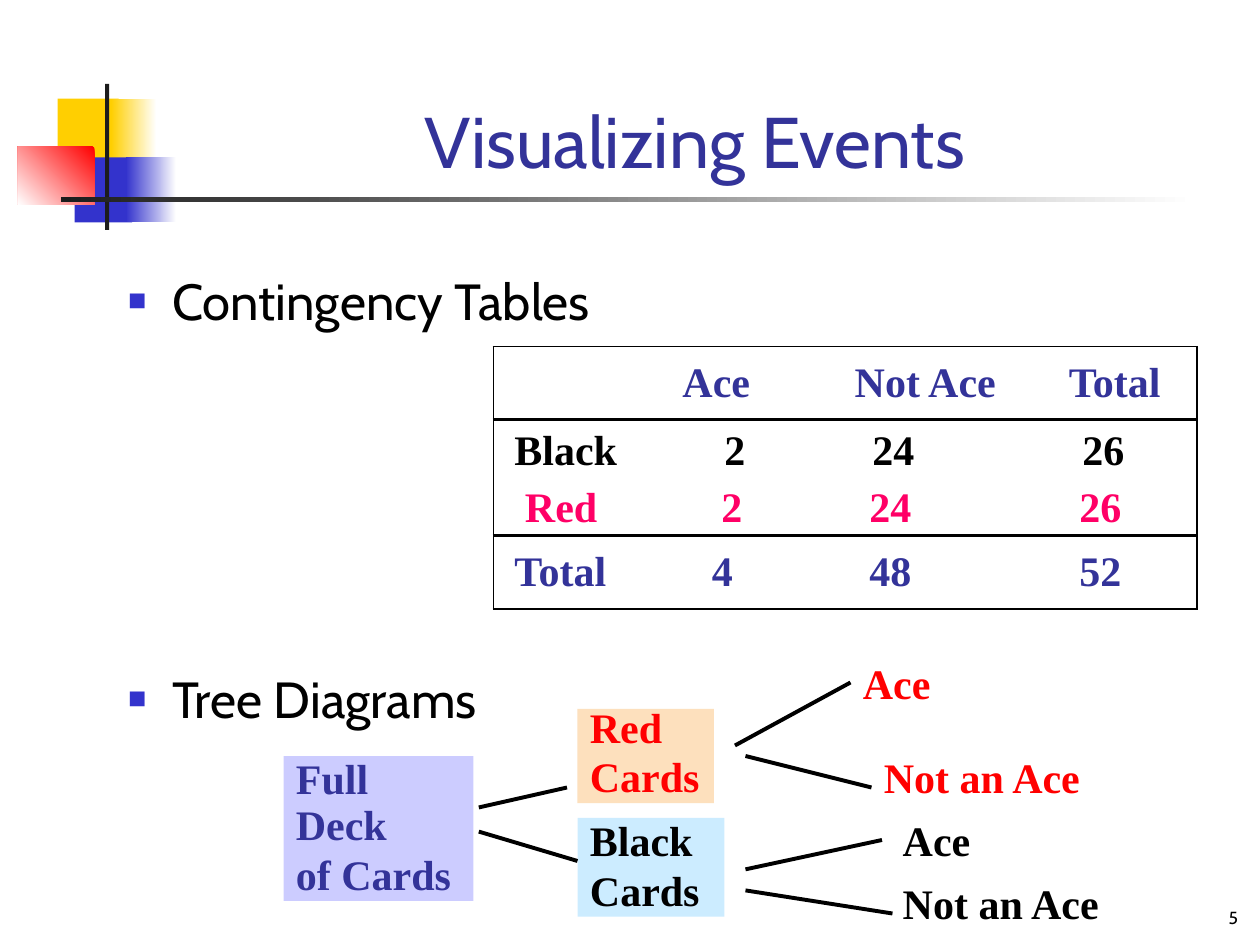
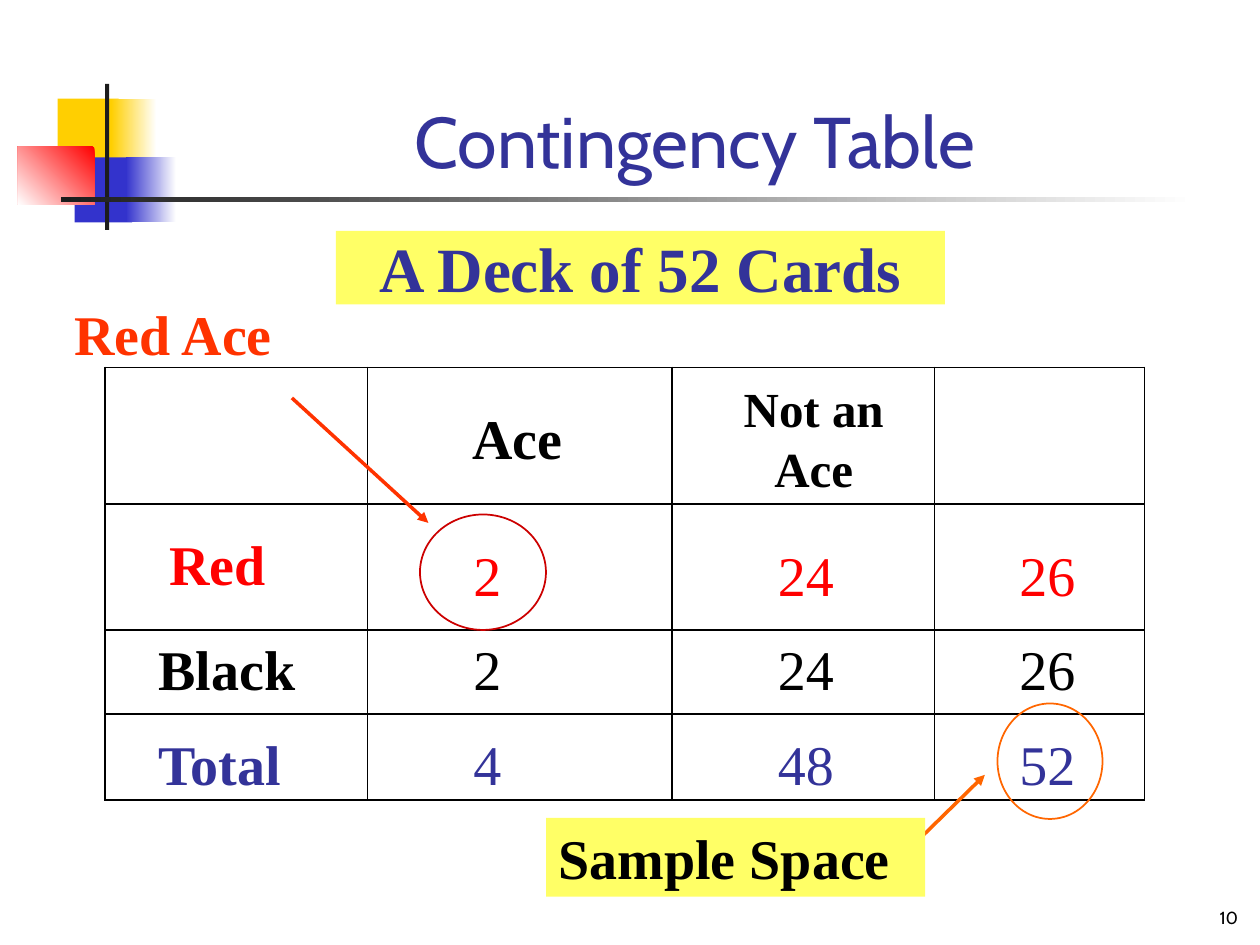
"""Two slides on events: contingency tables and a tree diagram."""
from dataclasses import dataclass
from typing import NamedTuple, Optional

from lxml import etree
from pptx import Presentation
from pptx import util as u
from pptx.dml.color import RGBColor
from pptx.enum import shapes, text
from pptx.oxml import ns

UNIT = 1 / 12  # the slide is a grid of 120 columns by 90 rows


@dataclass(frozen=True)
class Theme:
    """Colours, fonts and type sizes of the deck."""
    ink: str = "000000"
    white: str = "FFFFFF"
    navy: str = "333399"
    blue: str = "3333CC"
    gold: str = "FFCF01"
    red: str = "FF0000"
    rule: str = "1C1C1C"
    pink: str = "FF0066"
    lilac: str = "CCCCFF"
    peach: str = "FDE0BD"
    sky: str = "CCECFF"
    yellow: str = "FFFF66"
    crimson: str = "CC0000"
    orange: str = "FF6600"
    vermilion: str = "FF3300"
    sans: str = "Cabin"
    serif: str = "Times New Roman"
    title: float = 41
    body: float = 29
    small: float = 24
    large: float = 32
    banner: float = 36
    number: float = 10


T = Theme()


class Box(NamedTuple):
    """A place on the grid: column, row, columns wide, rows high."""
    x: float
    y: float
    w: float
    h: float


class Cell(NamedTuple):
    """Cell text, the grid column it starts at, and its own formatting."""
    text: str
    x: float
    drop: float = 0
    bold: bool = True
    size: Optional[float] = None
    centred: bool = False


class Row(NamedTuple):
    """A table row: height, text colour and cells."""
    height: float
    color: str
    cells: tuple


class Node(NamedTuple):
    """A filled box of the tree; spacing holds one line spacing per line."""
    box: Box
    text: str
    fill: str
    color: str
    spacing: tuple


class Label(NamedTuple):
    """A leaf of the tree."""
    box: Box
    text: str
    color: str


def g(n: float) -> int:
    """Turn grid units into a length."""
    return u.Inches(n * UNIT)


def rgb(color: str) -> RGBColor:
    """Turn a hex string into a colour."""
    return RGBColor.from_string(color)


def place(sp, box: Box) -> None:
    """Move a shape to its place on the grid."""
    sp.left, sp.top, sp.width, sp.height = map(g, box)


def style(p, size: float, color: str, font: str = T.serif, bold: bool = False,
          align=text.PP_ALIGN.LEFT) -> None:
    """Format a paragraph and its runs."""
    p.alignment = align
    for r in p.runs:
        r.font.size, r.font.bold, r.font.name = u.Pt(size), bold, font
        r.font.color.rgb = rgb(color)


def add_shape(s, kind, box: Box, fill: Optional[str] = None,
              line: Optional[str] = None, fade: Optional[tuple] = None):
    """Add a flat shape; fade is (first colour, last colour, angle)."""
    sp = s.shapes.add_shape(kind, *map(g, box))
    sp.shadow.inherit = False
    if fade:
        sp.fill.gradient()
        sp.fill.gradient_angle = fade[2]
        for stop, color, position in zip(sp.fill.gradient_stops, fade, (0, 1)):
            stop.color.rgb, stop.position = rgb(color), position
    elif fill:
        sp.fill.solid()
        sp.fill.fore_color.rgb = rgb(fill)
    else:
        sp.fill.background()
    if line:
        sp.line.color.rgb, sp.line.width = rgb(line), u.Pt(1)
    else:
        sp.line.fill.background()
    return sp


def add_text(s, box: Box, content: str, size: float, color: str,
             fill: Optional[str] = None, font: str = T.serif, bold: bool = True,
             align=text.PP_ALIGN.LEFT, anchor=text.MSO_ANCHOR.MIDDLE):
    """Add a text box, or a filled box with text, and return its frame."""
    if fill:
        sp = add_shape(s, shapes.MSO_SHAPE.RECTANGLE, box, fill)
    else:
        sp = s.shapes.add_textbox(*map(g, box))
    tf = sp.text_frame
    tf.word_wrap, tf.vertical_anchor = True, anchor
    tf.text = content
    for p in tf.paragraphs:
        style(p, size, color, font, bold, align)
    return tf


def add_line(s, x1: float, y1: float, x2: float, y2: float, color: str = T.ink,
             width: float = 2.25, arrow: bool = False) -> None:
    """Add a straight line, with an arrowhead at its end if asked."""
    line = s.shapes.add_connector(shapes.MSO_CONNECTOR.STRAIGHT,
                                  g(x1), g(y1), g(x2), g(y2))
    line.line.color.rgb, line.line.width = rgb(color), u.Pt(width)
    if arrow:
        etree.SubElement(line.line._get_or_add_ln(), ns.qn("a:tailEnd"), type="triangle")
    etree.SubElement(line.element.spPr, ns.qn("a:effectLst"))


def set_borders(cell, left: float, right: float, top: float, bottom: float) -> None:
    """Rule the four sides of a cell; a width of 0 leaves a side open."""
    tc_pr = cell._tc.get_or_add_tcPr()
    for side, width in zip("LRTB", (left, right, top, bottom)):
        ln = etree.SubElement(tc_pr, ns.qn(f"a:ln{side}"), w=str(u.Pt(width)))
        if width:
            fill = etree.SubElement(ln, ns.qn("a:solidFill"))
            etree.SubElement(fill, ns.qn("a:srgbClr"), val=T.ink)
        else:
            etree.SubElement(ln, ns.qn("a:noFill"))


def add_grid(s, x: float, y: float, widths: tuple, rows: tuple, size: float,
             v_rules: tuple, h_rules: tuple) -> None:
    """Add a table whose rules are given from left to right and top to bottom."""
    height = sum(row.height for row in rows)
    table = s.shapes.add_table(len(rows), len(widths), g(x), g(y),
                               g(sum(widths)), g(height)).table
    table.first_row = table.horz_banding = False
    for column, width in zip(table.columns, widths):
        column.width = g(width)
    for i, row in enumerate(rows):
        table.rows[i].height = g(row.height)
        for j, item in enumerate(row.cells):
            cell = table.cell(i, j)
            set_borders(cell, *v_rules[j:j + 2], *h_rules[i:i + 2])
            cell.fill.background()
            cell.vertical_anchor = text.MSO_ANCHOR.MIDDLE
            cell.margin_left = g(item.x - x - sum(widths[:j])) if item.text else 0
            cell.margin_right = cell.margin_bottom = 0
            cell.margin_top = g(item.drop)
            cell.text_frame.text = item.text
            align = text.PP_ALIGN.CENTER if item.centred else text.PP_ALIGN.LEFT
            for p in cell.text_frame.paragraphs:
                style(p, item.size or size, row.color, bold=item.bold, align=align)
            for p in cell.text_frame.paragraphs[1:]:
                p.space_before = u.Pt(3)


def draw_master(prs, s) -> None:
    """Draw the coloured squares and rules once and hand them to the master."""
    bands = (
        (Box(5.5, 9.4, 5.8, 6.2), T.gold, None),
        (Box(10.6, 9.4, 4.3, 6.2), None, (T.white, T.gold, 180)),
        (Box(7.1, 15, 5.5, 6.2), T.blue, None),
        (Box(12, 15, 4.8, 6.2), None, (T.white, T.blue, 180)),
        (Box(1.7, 14, 7.3, 5.5), None, (T.red, T.white, 225)),
        (Box(10, 8, 0.4, 13.9), T.rule, None),
        (Box(5.8, 18.8, 108, 0.4), None, (T.white, T.rule, 180)),
    )
    tree = prs.slide_master.shapes.element
    for i, (box, fill, fade) in enumerate(bands):
        sp = add_shape(s, shapes.MSO_SHAPE.RECTANGLE, box, fill, fade=fade)
        tree.insert(2 + i, sp.element)


def add_slide(prs, layout: int, title: str, number: int):
    """Add a slide with its title and number."""
    s = prs.slides.add_slide(prs.slide_layouts[layout])
    place(s.shapes.title, Box(15.1, 3, 102.2, 15))
    tf = s.shapes.title.text_frame
    tf.text = title
    tf.auto_size = text.MSO_AUTO_SIZE.NONE
    tf.vertical_anchor = text.MSO_ANCHOR.BOTTOM
    style(tf.paragraphs[0], T.title, T.navy, T.sans, align=text.PP_ALIGN.CENTER)
    add_text(s, Box(94.1, 82.9, 25, 6.1), str(number), T.number, T.ink, font=T.sans,
             bold=False, align=text.PP_ALIGN.RIGHT, anchor=text.MSO_ANCHOR.BOTTOM)
    return s


def fill_list(sp, items: tuple, gaps: tuple) -> None:
    """Fill the body placeholder with square bullets; gaps are points above."""
    place(sp, Box(11, 24.5, 106, 59.5))
    tf = sp.text_frame
    tf.text = "\n".join(items)
    tf.auto_size = text.MSO_AUTO_SIZE.NONE
    for p, gap in zip(tf.paragraphs, gaps):
        style(p, T.body, T.ink, T.sans)
        p.line_spacing, p.space_before = 1.1, u.Pt(gap)
        p_pr = p._p.get_or_add_pPr()
        p_pr.set("marL", str(u.Inches(0.35)))
        p_pr.set("indent", str(-u.Inches(0.35)))
        color = etree.SubElement(p_pr, ns.qn("a:buClr"))
        etree.SubElement(color, ns.qn("a:srgbClr"), val=T.blue)
        etree.SubElement(p_pr, ns.qn("a:buSzPct"), val="60000")
        etree.SubElement(p_pr, ns.qn("a:buChar"), char="■")


def add_tree(s) -> None:
    """Draw the tree of the full deck, its colours and its aces."""
    nodes = (
        Node(Box(27, 72, 18.1, 13.8), "Full\nDeck\nof Cards", T.lilac, T.navy, (0.8, 0.3, 0.5)),
        Node(Box(55, 67.5, 13, 9), "Red\nCards", T.peach, T.red, (0.7, 0.4)),
        Node(Box(55, 77.9, 14, 9.4), "Black\nCards", T.sky, T.ink, (0.8, 0.4)),
    )
    leaves = (
        Label(Box(81, 62, 13, 6), "Ace", T.red),
        Label(Box(83, 71, 22, 6), "Not an Ace", T.red),
        Label(Box(84.8, 77, 29, 6), "Ace", T.ink),
        Label(Box(84.8, 83, 29, 6), "Not an Ace", T.ink),
    )
    branches = ((45.6, 76.9, 54, 75), (45.6, 79.2, 55, 82), (70, 71, 81, 65),
                (71, 72, 83, 75), (71, 82.8, 84, 80), (71, 84.8, 85, 87))
    for node in nodes:
        tf = add_text(s, node.box, node.text, T.small, node.color, node.fill,
                      anchor=text.MSO_ANCHOR.TOP)
        tf.margin_right = 0
        for p, spacing in zip(tf.paragraphs, node.spacing):
            p.line_spacing, p.space_before = spacing, u.Pt(15)
    for branch in branches:
        add_line(s, *branch)
    for leaf in leaves:
        add_text(s, leaf.box, leaf.text, T.small, leaf.color)


def counts(label: Cell, values: tuple, columns: tuple, drop: float) -> tuple:
    """Make a row of cells: a bold label and plain counts."""
    return (label, *(Cell(v, x, drop, bold=False) for v, x in zip(values, columns)))


def events_slide(prs):
    """Build the overview of tables and trees."""
    s = add_slide(prs, 1, "Visualizing Events", 5)
    fill_list(s.placeholders[1], ("Contingency Tables", "Tree Diagrams"), (7.3, 189))
    rows = (
        Row(7, T.navy, (Cell("", 47), Cell("Ace", 65), Cell("Not Ace", 81.4), Cell("Total", 101.8))),
        Row(5.9, T.ink, (Cell("Black", 49), Cell("2", 69), Cell("24", 83.1), Cell("26", 103.1))),
        Row(5.1, T.pink, (Cell("Red", 50), Cell("2", 68.7), Cell("24", 82.8), Cell("26", 102.8))),
        Row(7, T.navy, (Cell("Total", 49), Cell("4", 67.8), Cell("48", 82.8), Cell("52", 102.8))),
    )
    add_grid(s, 47, 33, (15, 17, 19, 16), rows, T.small, (1, 0, 0, 0, 1), (1, 2, 0, 2, 1))
    add_tree(s)
    return s


def table_slide(prs) -> None:
    """Build the contingency table with its two call-outs."""
    s = add_slide(prs, 5, "Contingency Table", 10)
    xs = (45.1, 74.1, 97.1)
    rows = (
        Row(13, T.ink, (Cell("", 10), Cell("Ace", 45, 1), Cell(
            "Not an\nAce", 66, 1, size=28, centred=True), Cell("", 89))),
        Row(12, T.red, counts(Cell("Red", 16.1), ("2", "24", "26"), xs, 2)),
        Row(8, T.ink, counts(Cell("Black", 15.1), ("2", "24", "26"), xs, 0)),
        Row(8, T.navy, counts(Cell("Total", 15.1, 1.8), ("4", "48", "52"), xs, 1.8)),
    )
    add_grid(s, 10, 35, (25, 29, 25, 20), rows, T.large, (1,) * 5, (1,) * 5)
    for box, color in ((Box(40, 49, 12, 11), T.crimson), (Box(95, 67, 10, 11), T.orange)):
        add_shape(s, shapes.MSO_SHAPE.OVAL, box, line=color)
    add_text(s, Box(32, 22, 58, 7), "A Deck of 52 Cards", T.banner, T.navy, T.yellow,
             align=text.PP_ALIGN.CENTER)
    add_line(s, 84.2, 83.2, 93.8, 73.8, T.orange, 2, arrow=True)
    add_text(s, Box(52, 77.9, 36.1, 7.5), "Sample Space", T.large, T.ink, T.yellow)
    add_line(s, 27.8, 37.9, 40.8, 49.8, T.vermilion, 2, arrow=True)
    add_text(s, Box(5.9, 28, 24, 7.5), "Red Ace", T.large, T.vermilion)


prs = Presentation()
prs.slide_width, prs.slide_height = g(120), g(90)
draw_master(prs, events_slide(prs))
table_slide(prs)
prs.save("out.pptx")
